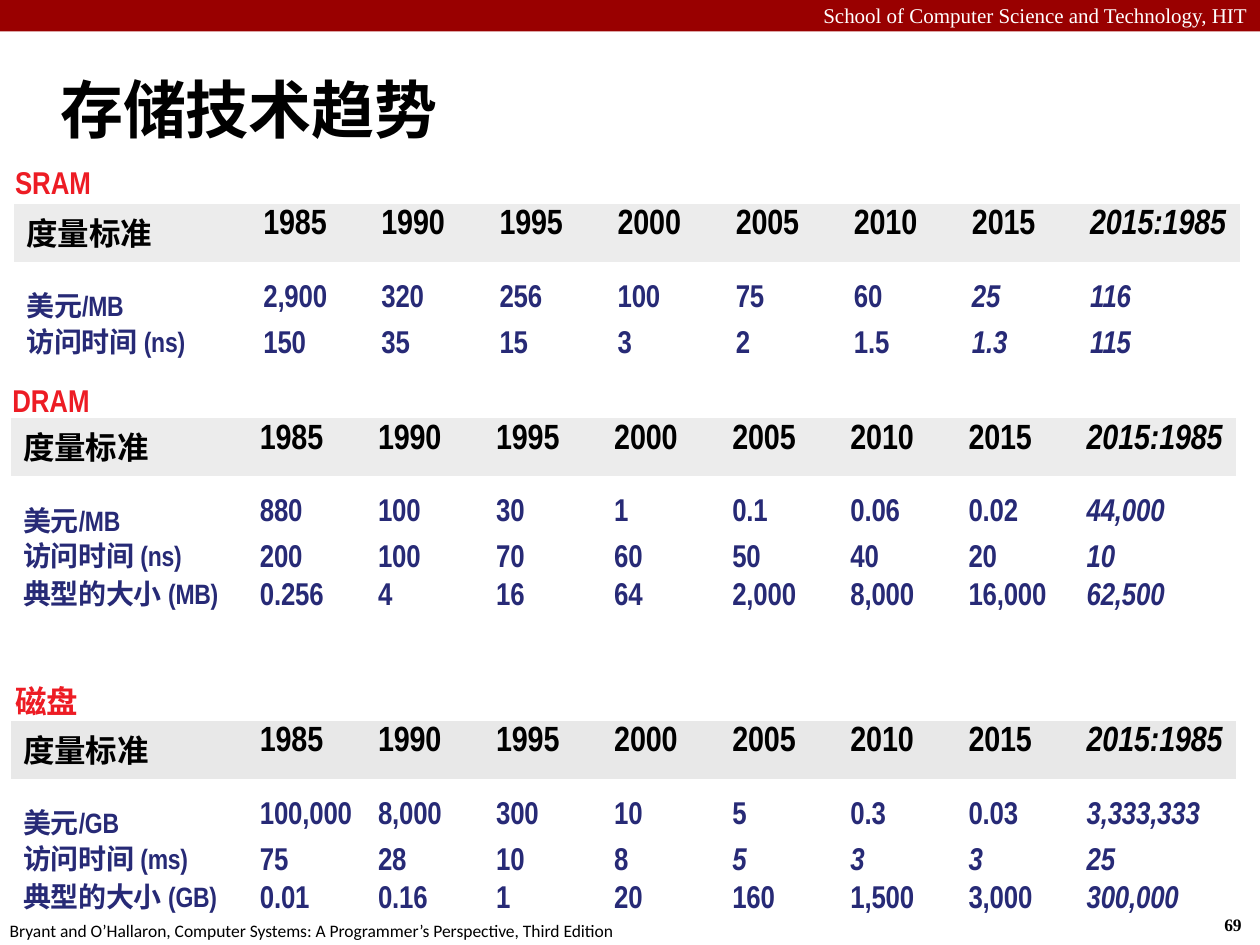
import dataclasses

import pptx
import pptx.dml.color
import pptx.enum.lang
import pptx.enum.shapes
import pptx.enum.text
import pptx.util

Pt = pptx.util.Pt
Align = pptx.enum.text.PP_ALIGN
Anchor = pptx.enum.text.MSO_ANCHOR
CHINESE = pptx.enum.lang.MSO_LANGUAGE_ID.SIMPLIFIED_CHINESE


@dataclasses.dataclass(frozen=True)
class Theme:
    banner: str = "990000"
    white: str = "FFFFFF"
    black: str = "000000"
    label: str = "ED1C24"
    value: str = "272A76"
    title_size: int = 36
    year_size: int = 20
    value_size: int = 18
    metric_size: int = 16
    banner_size: int = 12
    footer_size: int = 10
    narrow: str = "Arial Narrow"
    sans: str = "Calibri"
    serif: str = "Times New Roman"
    plain_table: str = "{2D5ABB26-0587-4C30-8999-92F81FD0307C}"


class SlideBuilder:
    """Draws styled elements on one slide."""

    def __init__(self, slide, theme):
        self.slide = slide
        self.theme = theme

    def apply(self, target, values):
        for name, value in values.items():
            setattr(target, name, value)

    def rgb(self, color):
        return pptx.dml.color.RGBColor.from_string(color)

    def add_span(self, para, text, size, font, color, tracking=0, **style):
        span = para.add_run()
        span.text = text
        self.apply(span.font, {"size": Pt(size), "name": font, **style})
        span.font.color.rgb = self.rgb(color)
        if text[0] > "\u2fff":
            span.font.language_id = CHINESE
        if tracking:
            span.font._element.set("spc", str(tracking))

    def banner(self, left, top, width, height):
        bar = self.slide.shapes.add_shape(
            pptx.enum.shapes.MSO_SHAPE.RECTANGLE, Pt(left), Pt(top), Pt(width), Pt(height))
        bar.shadow.inherit = False
        bar.fill.solid()
        bar.fill.fore_color.rgb = self.rgb(self.theme.banner)
        bar.line.fill.background()

    def text(self, place, text, size, font, color, inset=True, wrap=True,
             anchor=Anchor.TOP, align=Align.LEFT, **style):
        box = self.slide.shapes.add_textbox(*map(Pt, place))
        frame = box.text_frame
        self.apply(frame, {"word_wrap": wrap, "vertical_anchor": anchor})
        if not inset:
            self.apply(frame, dict.fromkeys(
                ("margin_left", "margin_top", "margin_right", "margin_bottom"), 0))
        para = frame.paragraphs[0]
        para.alignment = align
        self.add_span(para, text, size, font, color, **style)

    def label(self, left, top, text):
        self.text((left, top, 46, 22), text, self.theme.value_size, self.theme.narrow,
                  self.theme.label, inset=False, bold=True)

    def cell(self, cell, text, indent, row, size, italic):
        margins = {"margin_left": 0, "margin_right": 0, "margin_bottom": 0,
                   "margin_top": Pt((3, 13)[row] if row < 2 else 0)}
        self.apply(cell, margins)
        para = cell.text_frame.paragraphs[0]
        spacing = ({"space_before": Pt((3, 13.1)[row])} if row < 2
                   else {"line_spacing": Pt(20.9)})
        self.apply(para, spacing)
        para._p.get_or_add_pPr().set("marL", str(Pt(indent)))
        color = self.theme.value if row else self.theme.black
        self.add_span(para, text, size, self.theme.narrow, color, tracking=-10,
                      bold=True, italic=italic)

    def table(self, left, top, widths, heights, band, rows):
        grid = self.slide.shapes.add_table(
            len(heights), len(widths), Pt(left), Pt(top),
            Pt(sum(widths)), Pt(sum(heights))).table
        self.apply(grid, {"first_row": False, "horz_banding": False})
        grid._tbl.tblPr.find("{*}tableStyleId").text = self.theme.plain_table
        for column, width in zip(grid.columns, widths):
            column.width = Pt(width)
        for row, (height, (italic_from, values)) in enumerate(zip(heights, rows)):
            grid.rows[row].height = Pt(height)
            for col, value in enumerate(values):
                cell = grid.cell(row, col)
                if row:
                    cell.fill.background()
                else:
                    cell.fill.solid()
                    cell.fill.fore_color.rgb = self.rgb(band)
                text_left = FIRST_STOP + (col - 1) * STOP_GAP
                indent = text_left - sum(widths[:col]) if col else 7.2
                if row:
                    size = self.theme.value_size if col else self.theme.metric_size
                else:
                    size = self.theme.year_size if col else self.theme.value_size
                self.cell(cell, value, indent, row, size, col >= italic_from)


FIRST_STOP, STOP_GAP = 142.5, 67.5
RATIO_COLUMN = 8
HEADER = (RATIO_COLUMN, ["度量标准", *map(str, range(1985, 2016, 5)), "2015:1985"])
SECTIONS = [
    {"label": (8.6, 93, "SRAM"), "place": (8, 116.6), "band": "ECECEC",
     "widths": [115.5, 79, *[STOP_GAP] * 6, 101], "heights": [33, 35.5, 26],
     "rows": [
         (7, ["美元/MB", "2,900", "320", "256", "100", "75", "60", "25", "116"]),
         (7, ["访问时间 (ns)", "150", "35", "15", "3", "2", "1.5", "1.3", "115"])]},
    {"label": (7, 218, "DRAM"), "place": (6, 239), "band": "ECECEC",
     "widths": [132.5, 62, *[STOP_GAP] * 5, 71.5, 97], "heights": [33, 35.5, 21.5, 47.5],
     "rows": [
         (8, ["美元/MB", "880", "100", "30", "1", "0.1", "0.06", "0.02", "44,000"]),
         (8, ["访问时间 (ns)", "200", "100", "70", "60", "50", "40", "20", "10"]),
         (8, ["典型的大小 (MB)", "0.256", "4", "16", "64", "2,000", "8,000", "16,000",
              "62,500"])]},
    {"label": (8.6, 389.5, "磁盘"), "place": (6, 412), "band": "E8E8E8",
     "widths": [132.5, 70.5, 59, *[STOP_GAP] * 5, 101], "heights": [33, 35.5, 21.5, 26],
     "rows": [
         (8, ["美元/GB", "100,000", "8,000", "300", "10", "5", "0.3", "0.03", "3,333,333"]),
         (5, ["访问时间 (ms)", "75", "28", "10", "8", "5", "3", "3", "25"]),
         (8, ["典型的大小 (GB)", "0.01", "0.16", "1", "20", "160", "1,500", "3,000",
              "300,000"])]},
]


def main():
    deck = pptx.Presentation()
    deck.slide_width, deck.slide_height = Pt(720), Pt(540)
    theme = Theme()
    page = SlideBuilder(deck.slides.add_slide(deck.slide_layouts[6]), theme)
    page.banner(0, 0, 720, 18)
    page.text((0, -2, 720, 22), "School of Computer Science and Technology, HIT",
              theme.banner_size, theme.serif, theme.white, align=Align.RIGHT)
    page.text((692.5, 519, 27, 19), "69", theme.footer_size, theme.serif, theme.black,
              wrap=False, bold=True)
    page.text((-1.5, 522, 366, 19),
              "Bryant and O’Hallaron, Computer Systems: A Programmer’s Perspective, Third Edition",
              theme.footer_size, theme.sans, theme.black, wrap=False)
    page.text((34.5, 40.5, 227, 43), "存储技术趋势", theme.title_size, theme.sans, theme.black,
              inset=False, anchor=Anchor.MIDDLE, bold=True, tracking=-10)
    for section in SECTIONS:
        page.label(*section["label"])
        page.table(*section["place"], section["widths"], section["heights"],
                   section["band"], [HEADER, *section["rows"]])
    deck.save("out.pptx")


if __name__ == "__main__":
    main()
